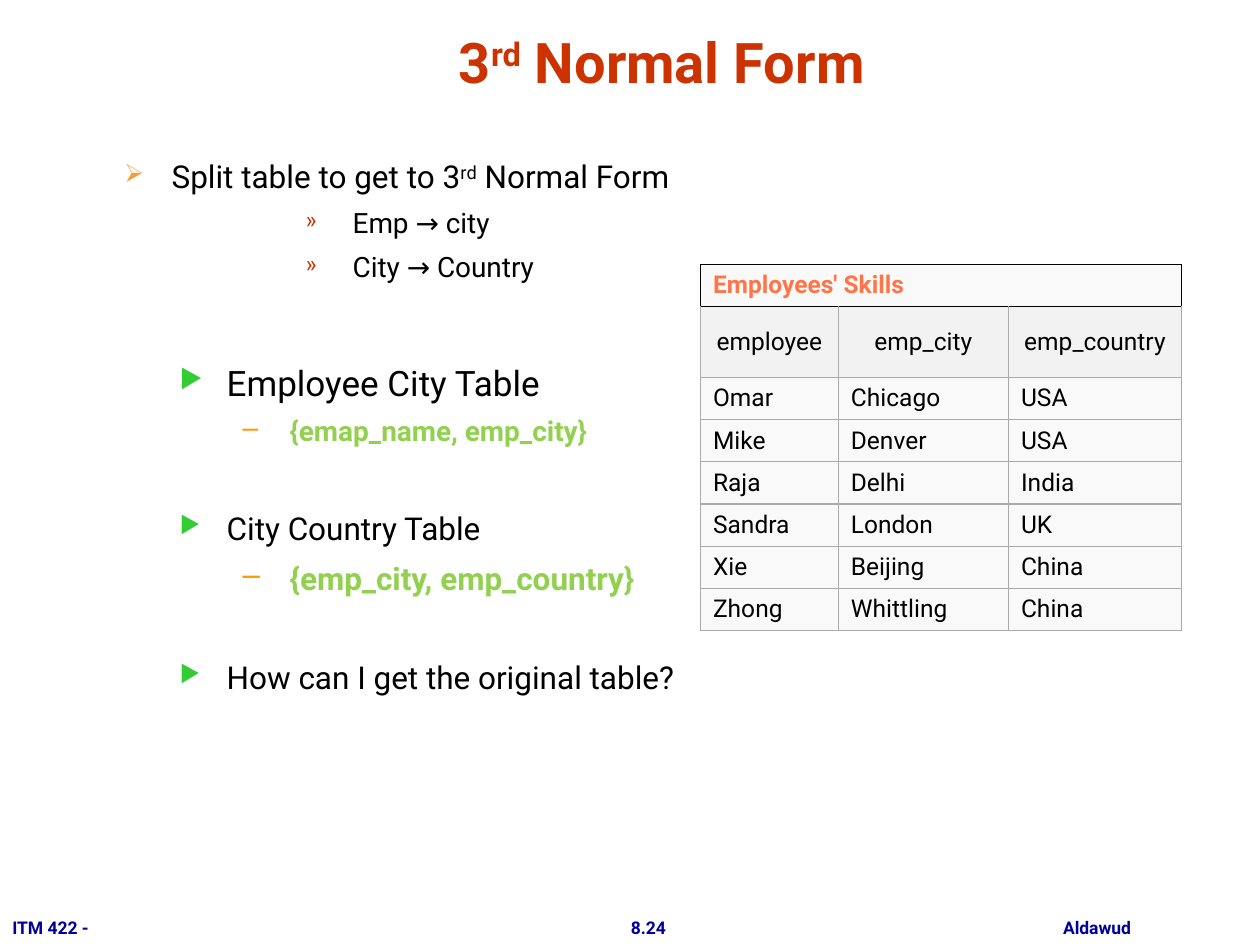
from lxml import etree
from pptx import Presentation
from pptx import util as u
from pptx.dml.color import RGBColor
from pptx.enum import text
from pptx.oxml.ns import qn

COLORS = {
    "title": "CC3300", "footer": "000099", "text": "000000", "key": "92D050",
    "arrow": "FF9933", "quote": "CC3300", "triangle": "33CC33", "dash": "FF9900",
    "caption": "FF7547", "cell": "F9F9F9", "head": "F2F2F2", "grid": "AAAAAA",
}
FONT = "Roboto"
LEFT, CENTER = text.PP_ALIGN.LEFT, text.PP_ALIGN.CENTER


def write(para, content, size, color="text", bold=False, align=LEFT, before=0):
    """Fill a paragraph; parts between ^ marks are superscript."""
    para.alignment = align
    if before:
        para.space_before = u.Pt(before)
    for index, part in enumerate(content.split("^")):
        span = para.add_run()
        span.text = part
        span.font.name = FONT
        span.font.size = u.Pt(size)
        span.font.bold = bold
        span.font.color.rgb = RGBColor.from_string(COLORS[color])
        if index % 2:
            span.font._element.set("baseline", "30000")


def set_borders(cell, **sides):
    """Draw cell sides, each given as (colour name, width in points)."""
    props = cell._tc.get_or_add_tcPr()
    ordered = [side for side in ("L", "R", "T", "B") if side in sides]
    for position, side in enumerate(ordered):
        color, width = sides[side]
        line = etree.Element(qn("a:ln" + side), w=str(u.Pt(width)))
        fill = etree.SubElement(line, qn("a:solidFill"))
        etree.SubElement(fill, qn("a:srgbClr"), val=COLORS[color])
        props.insert(position, line)


deck = Presentation()
deck.slide_width, deck.slide_height = u.Cm(25.4), u.Cm(19.05)
page = deck.slides.add_slide(deck.slide_layouts[6])

# Footer
for label, left, width, align in [
    ("ITM 422 -", 0, 2.13, LEFT),
    ("8.24", 12.45, 1.24, CENTER),
    ("Aldawud", 21.11, 2.01, CENTER),
]:
    box = page.shapes.add_textbox(u.Cm(left), u.Cm(18.36), u.Cm(width), u.Cm(0.69))
    box.text_frame.word_wrap = False
    write(box.text_frame.paragraphs[0], label, 10, "footer", bold=True, align=align)

# Title
box = page.shapes.add_textbox(u.Cm(2.13), u.Cm(0.33), u.Cm(22.43), u.Cm(1.7))
box.text_frame.word_wrap = True
box.text_frame.vertical_anchor = text.MSO_ANCHOR.BOTTOM
write(box.text_frame.paragraphs[0], "3^rd^ Normal Form", 32, "title", bold=True, align=CENTER)

# Outline: bullet sign, its colour, its size in percent, text indent in cm
LEVELS = {
    1: ("➢", "arrow", 80, 0.95),
    2: ("▶", "triangle", 75, 2.06),
    3: ("–", "dash", 100, 3.33),
    4: ("»", "quote", 75, 4.6),
}
OUTLINE = [  # level, text, size, space before
    (1, "Split table to get to 3^rd^ Normal Form", 18, 0),
    (4, "Emp → city", 16, 6),
    (4, "City → Country", 16, 6),
    (2, "Employee City Table", 20, 44.5),
    (3, "{emap_name, emp_city}", 16, 6),
    (2, "City Country Table", 18, 35),
    (3, "{emp_city, emp_country}", 18, 7),
    (2, "How can I get the original table?", 18, 35),
]
box = page.shapes.add_textbox(u.Cm(2.26), u.Cm(3.05), u.Cm(21.29), u.Cm(13.61))
frame = box.text_frame
frame.word_wrap = True
for index, (level, content, size, before) in enumerate(OUTLINE):
    para = frame.add_paragraph() if index else frame.paragraphs[0]
    sign, sign_color, percent, indent = LEVELS[level]
    is_key = level == 3
    write(para, content, size, "key" if is_key else "text", bold=is_key, before=before)
    props = para._p.get_or_add_pPr()
    props.set("marL", str(u.Cm(indent)))
    props.set("indent", str(-u.Cm(0.95)))
    tint = etree.SubElement(props, qn("a:buClr"))
    etree.SubElement(tint, qn("a:srgbClr"), val=COLORS[sign_color])
    etree.SubElement(props, qn("a:buSzPct"), val=str(percent * 1000))
    etree.SubElement(props, qn("a:buChar"), char=sign)

# Table
ROWS = [
    ("Employees' Skills", "", ""),
    ("employee", "emp_city", "emp_country"),
    ("Omar", "Chicago", "USA"),
    ("Mike", "Denver", "USA"),
    ("Raja", "Delhi", "India"),
    ("Sandra", "London", "UK"),
    ("Xie", "Beijing", "China"),
    ("Zhong", "Whittling", "China"),
]
WIDTHS = [2.78, 3.43, 3.49]
HEIGHTS = [0.85, 1.43] + [0.85] * 6
GRID, FRAME = ("grid", 0.75), ("text", 1)
table = page.shapes.add_table(
    len(ROWS), len(WIDTHS), u.Cm(14.12), u.Cm(5.33), u.Cm(sum(WIDTHS)), u.Cm(sum(HEIGHTS))
).table
table.first_row = table.horz_banding = False
for column, width in zip(table.columns, WIDTHS):
    column.width = u.Cm(width)
for row, height in zip(table.rows, HEIGHTS):
    row.height = u.Cm(height)
table.cell(0, 0).merge(table.cell(0, 2))
for r, values in enumerate(ROWS):
    for c, value in enumerate(values):
        cell = table.cell(r, c)
        cell.fill.solid()
        cell.fill.fore_color.rgb = RGBColor.from_string(COLORS["head" if r == 1 else "cell"])
        cell.vertical_anchor = text.MSO_ANCHOR.MIDDLE
        if r == 0:
            sides = {"T": FRAME, "B": FRAME}
            if c == 0:
                sides.update(L=FRAME, R=FRAME)
            elif c == 2:
                sides.update(R=FRAME)
            set_borders(cell, **sides)
        else:
            set_borders(cell, L=GRID, R=GRID, T=FRAME if r == 1 else GRID, B=GRID)
        if value:
            write(cell.text_frame.paragraphs[0], value, 14, "text" if r else "caption",
                  bold=r == 0, align=CENTER if r == 1 else LEFT)

deck.save("out.pptx")
